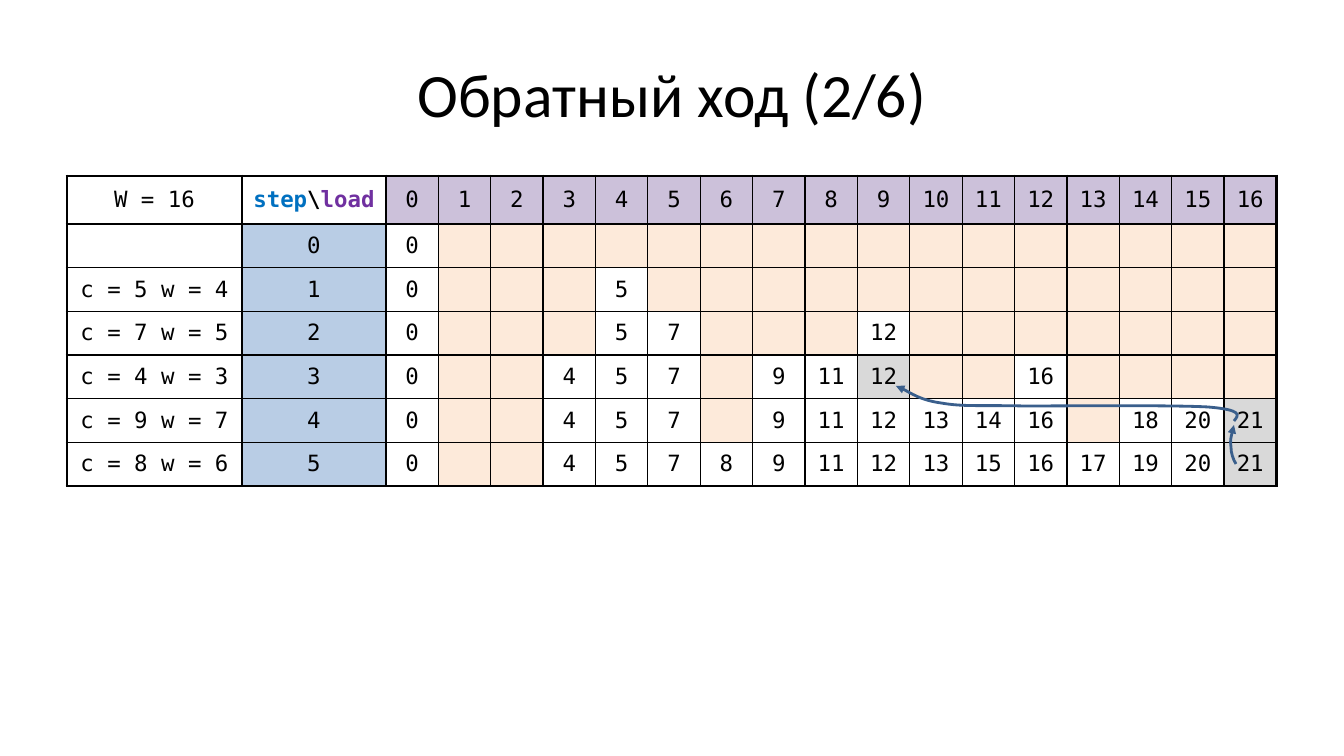
from itertools import pairwise

from lxml import etree
from pptx import Presentation
from pptx import util as u
from pptx.dml.color import RGBColor
from pptx.enum import text
from pptx.oxml.ns import qn

BLACK = RGBColor(0x00, 0x00, 0x00)
STEP_TEXT = RGBColor(0x00, 0x70, 0xC0)
LOAD_TEXT = RGBColor(0x70, 0x30, 0xA0)
LOAD_FILL = RGBColor(0xCC, 0xC1, 0xDA)
STEP_FILL = RGBColor(0xB9, 0xCD, 0xE5)
EMPTY_FILL = RGBColor(0xFD, 0xEA, 0xDA)
VISITED_FILL = RGBColor(0xD9, 0xD9, 0xD9)
ARROW = RGBColor(0x3A, 0x5F, 0x8C)

TITLE = "Обратный ход (2/6)"
CAPACITY = 16
CORNER = [("step", STEP_TEXT), ("\\", BLACK), ("load", LOAD_TEXT)]
# One entry per step: item label, then best cost by load
STEPS = [
    ("", {0: 0}),
    ("c = 5 w = 4", {0: 0, 4: 5}),
    ("c = 7 w = 5", {0: 0, 4: 5, 5: 7, 9: 12}),
    ("c = 4 w = 3", {0: 0, 3: 4, 4: 5, 5: 7, 7: 9, 8: 11, 9: 12, 12: 16}),
    ("c = 9 w = 7", {0: 0, 3: 4, 4: 5, 5: 7, 7: 9, 8: 11, 9: 12, 10: 13,
                     11: 14, 12: 16, 14: 18, 15: 20, 16: 21}),
    ("c = 8 w = 6", {0: 0, 3: 4, 4: 5, 5: 7, 6: 8, 7: 9, 8: 11, 9: 12, 10: 13,
                     11: 15, 12: 16, 13: 17, 14: 19, 15: 20, 16: 21}),
]
VISITED = {(5, 16), (4, 16), (3, 9)}
# Start point, then two control points and an end point per curve
ARROWS = [
    [(1236, 464), (1233, 459), (1231, 453), (1231, 447),
     (1230, 440), (1232, 433), (1234, 425)],
    [(1234, 421), (1239, 415), (1243, 410), (1208, 407),
     (1172, 405), (1068, 406), (1024, 406),
     (980, 405), (964, 407), (941, 403),
     (920, 400), (897, 385), (896, 386)],
]

SLIDE_W, SLIDE_H = 1344, 756
LEFT, TOP, WIDTH, HEIGHT = 67, 176, 1210, 310
ITEM_W, STEP_W, HEADER_H = 175, 144, 48
THIN, THICK = 1, 2.25
EMU_PER_PX = 12192000 / SLIDE_W


def px(length):
    return u.Emu(round(length * EMU_PER_PX))


def set_borders(cell, widths):
    properties = cell._tc.get_or_add_tcPr()
    for side, width in zip("LRTB", widths):
        line = etree.SubElement(properties, qn(f"a:ln{side}"), w=str(u.Pt(width)))
        fill = etree.SubElement(line, qn("a:solidFill"))
        etree.SubElement(fill, qn("a:srgbClr"), val=str(BLACK))


def write_cell(cell, spans, fill, bold=False):
    cell.vertical_anchor = text.MSO_ANCHOR.MIDDLE
    para = cell.text_frame.paragraphs[0]
    para.alignment = text.PP_ALIGN.CENTER
    for wording, color in spans:
        span = para.add_run()
        span.text = wording
        span.font.name = "DejaVu Sans Mono"
        span.font.size = u.Pt(16)
        span.font.bold = bold
        span.font.color.rgb = color
    if fill is None:
        cell.fill.background()
    else:
        cell.fill.solid()
        cell.fill.fore_color.rgb = fill


def cell_content(row, col):
    """Return the wording and the fill of a body or load cell."""
    load, step = col - 2, row - 1
    if row == 0:
        return (f"W = {CAPACITY}", None) if col == 0 else (str(load), LOAD_FILL)
    item, costs = STEPS[step]
    if col == 0:
        return item, None
    if col == 1:
        return str(step), STEP_FILL
    if load not in costs:
        return "", EMPTY_FILL
    return str(costs[load]), VISITED_FILL if (step, load) in VISITED else None


def add_cost_table(page):
    rows, cols = len(STEPS) + 1, CAPACITY + 3
    table = page.shapes.add_table(
        rows, cols, px(LEFT), px(TOP), px(WIDTH), px(HEIGHT)).table
    table.first_row = table.horz_banding = False

    load_w = (WIDTH - ITEM_W - STEP_W) / (CAPACITY + 1)
    step_h = (HEIGHT - HEADER_H) / len(STEPS)
    lefts = [0, ITEM_W] + [ITEM_W + STEP_W + i * load_w for i in range(CAPACITY + 2)]
    tops = [0] + [HEADER_H + i * step_h for i in range(len(STEPS) + 1)]
    for column, (start, end) in zip(table.columns, pairwise(lefts)):
        column.width = px(end) - px(start)
    for row, (start, end) in zip(table.rows, pairwise(tops)):
        row.height = px(end) - px(start)

    for row in range(rows):
        for col in range(cols):
            cell = table.cell(row, col)
            outer = (col == 0, col == cols - 1, row == 0, row == rows - 1)
            set_borders(cell, [THICK if edge else THIN for edge in outer])
            if (row, col) == (0, 1):
                write_cell(cell, CORNER, None, bold=True)
                continue
            wording, fill = cell_content(row, col)
            write_cell(cell, [(wording, BLACK)] if wording else [], fill)


def add_curved_arrow(page, points):
    """Draw Bézier curves through the points, with an arrowhead at the end."""
    start, *rest = [(px(x), px(y)) for x, y in points]
    builder = page.shapes.build_freeform(*start)
    builder.add_line_segments(rest, close=False)
    arrow = builder.convert_to_shape()
    arrow.shadow.inherit = False
    arrow.fill.background()
    arrow.line.color.rgb = ARROW
    arrow.line.width = u.Pt(2)
    outline = arrow.element.spPr.find(qn("a:ln"))
    etree.SubElement(outline, qn("a:tailEnd"), type="triangle")

    segments = list(arrow.element.iter(qn("a:lnTo")))
    for i in range(0, len(segments), 3):
        curve = etree.Element(qn("a:cubicBezTo"))
        segments[i].addprevious(curve)
        for segment in segments[i:i + 3]:
            curve.append(segment[0])
            segment.getparent().remove(segment)


def add_title(page):
    title = page.shapes.title
    title.left, title.top, title.width, title.height = map(px, (LEFT, 30, WIDTH, 126))
    title.text_frame.vertical_anchor = text.MSO_ANCHOR.MIDDLE
    para = title.text_frame.paragraphs[0]
    para.alignment = text.PP_ALIGN.CENTER
    span = para.add_run()
    span.text = TITLE
    span.font.name = "Calibri"
    span.font.size = u.Pt(44)
    span.font.color.rgb = BLACK


def main():
    deck = Presentation()
    deck.slide_width, deck.slide_height = px(SLIDE_W), px(SLIDE_H)
    page = deck.slides.add_slide(deck.slide_layouts.get_by_name("Title Only"))
    add_title(page)
    add_cost_table(page)
    for points in ARROWS:
        add_curved_arrow(page, points)
    deck.save("out.pptx")


if __name__ == "__main__":
    main()
